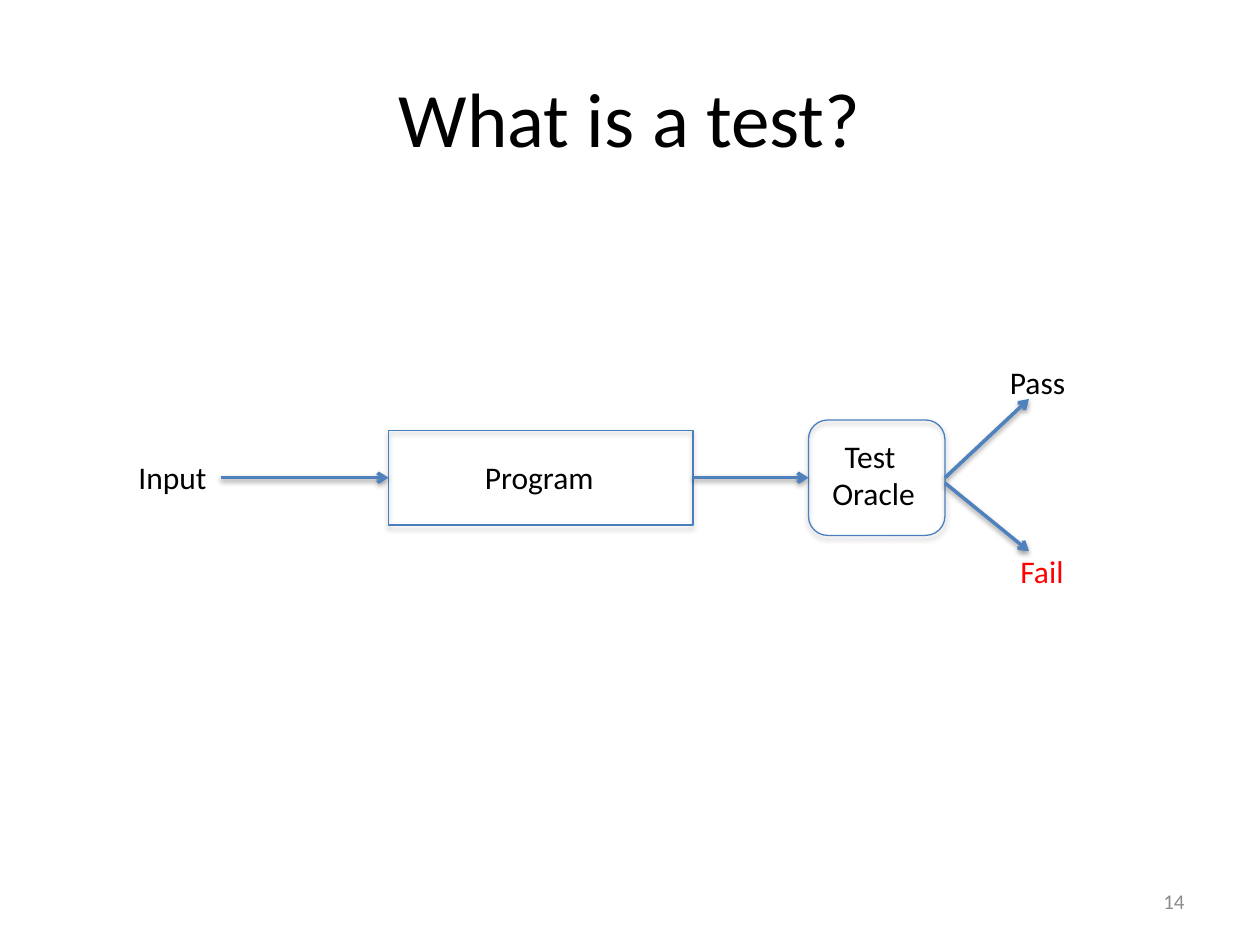
"""Build the slide that shows how a program and a test oracle form a test."""
from typing import NamedTuple

import lxml.etree
import pptx
import pptx.dml.color
import pptx.enum.shapes
import pptx.enum.text
import pptx.oxml.ns
import pptx.util

SHAPES = pptx.enum.shapes.MSO_SHAPE
ALIGN = pptx.enum.text.PP_ALIGN
ANCHOR = pptx.enum.text.MSO_ANCHOR
AUTO_SIZE = pptx.enum.text.MSO_AUTO_SIZE

COLUMNS, ROWS = 120, 90
SLIDE_WIDTH, SLIDE_HEIGHT = pptx.util.Inches(10), pptx.util.Inches(7.5)
FLOW_ROW = 45.5
LABEL_HEIGHT = 4.8


class Area(NamedTuple):
    """A rectangle in grid columns and rows."""
    column: float
    row: float
    width: float
    height: float


class Label(NamedTuple):
    """Text lines and their format."""
    lines: tuple
    area: Area
    color: str = "000000"
    size: int = 18
    alignment: ALIGN = ALIGN.LEFT
    anchor: ANCHOR = ANCHOR.TOP
    wrap: bool = False


class Box(NamedTuple):
    """An outlined step of the test."""
    kind: SHAPES
    area: Area


class Arrow(NamedTuple):
    """An arrow between two grid points."""
    start: tuple
    end: tuple


LABELS = (
    Label(("14",), Area(86, 83.4, 28, LABEL_HEIGHT), "8C8C8C", 12, ALIGN.RIGHT, ANCHOR.MIDDLE, True),
    Label(("What is a test?",), Area(6, 3.6, 108, 15), "000000", 44, ALIGN.CENTER, ANCHOR.MIDDLE, True),
    Label(("Input",), Area(12, 43, 9, LABEL_HEIGHT)),
    Label(("Program",), Area(45, 43, 13, LABEL_HEIGHT)),
    Label(("Test ", "Oracle"), Area(78, 41, 10.4, 8.5), alignment=ALIGN.CENTER),
    Label(("Pass",), Area(95, 34, 7.8, LABEL_HEIGHT)),
    Label(("Fail",), Area(96, 52, 6.6, LABEL_HEIGHT), "FF0000"),
)
BOXES = (
    Box(SHAPES.RECTANGLE, Area(37, 41, 29, 9)),
    Box(SHAPES.ROUNDED_RECTANGLE, Area(77, 40, 13, 11)),
)
ARROWS = (
    Arrow((21, FLOW_ROW), (37, FLOW_ROW)),
    Arrow((66, FLOW_ROW), (77, FLOW_ROW)),
    Arrow((90, FLOW_ROW), (98, 38)),
    Arrow((90, 46), (98, 52.5)),
)


def across(columns: float) -> int:
    """Convert grid columns to a slide length."""
    return round(SLIDE_WIDTH * columns / COLUMNS)


def down(rows: float) -> int:
    """Convert grid rows to a slide length."""
    return round(SLIDE_HEIGHT * rows / ROWS)


def place(area: Area) -> tuple:
    """Return left, top, width and height on the slide."""
    return across(area.column), down(area.row), across(area.width), down(area.height)


def rgb(color: str) -> pptx.dml.color.RGBColor:
    """Turn a hex string into a colour."""
    return pptx.dml.color.RGBColor.from_string(color)


def apply(target: object, values: dict) -> None:
    """Set each named attribute on the target."""
    for name, value in values.items():
        setattr(target, name, value)


def add_child(parent, tag: str, **attributes: str):
    """Append a drawing element with attributes."""
    return lxml.etree.SubElement(parent, pptx.oxml.ns.qn(tag), attributes)


def style_line(shape, color: str, width: float, distance: float, opacity: int) -> None:
    """Outline a shape and drop a soft shadow below it."""
    shape.line.color.rgb = rgb(color)
    shape.line.width = pptx.util.Pt(width)
    properties = shape._element.spPr
    for effects in properties.findall(pptx.oxml.ns.qn("a:effectLst")):
        properties.remove(effects)
    shadow = add_child(
        add_child(properties, "a:effectLst"), "a:outerShdw",
        blurRad=str(pptx.util.Pt(3.1)), dist=str(pptx.util.Pt(distance)),
        dir="5400000", rotWithShape="0")
    shadow_color = add_child(shadow, "a:srgbClr", val="000000")
    add_child(shadow_color, "a:alpha", val=str(opacity * 1000))


def draw_label(slide, label: Label) -> None:
    """Draw a text box with one paragraph per line."""
    frame = slide.shapes.add_textbox(*place(label.area)).text_frame
    apply(frame, {
        "text": "\n".join(label.lines),
        "word_wrap": label.wrap,
        "vertical_anchor": label.anchor,
        "auto_size": AUTO_SIZE.NONE if label.wrap else AUTO_SIZE.SHAPE_TO_FIT_TEXT,
    })
    for paragraph in frame.paragraphs:
        paragraph.alignment = label.alignment
        for run in paragraph.runs:
            apply(run.font, {"name": "Calibri", "size": pptx.util.Pt(label.size)})
            run.font.color.rgb = rgb(label.color)


def draw_box(slide, box: Box) -> None:
    """Draw an unfilled box with a thin outline."""
    shape = slide.shapes.add_shape(box.kind, *place(box.area))
    shape.fill.background()
    style_line(shape, "4B7EBC", 0.75, 1.8, 35)


def draw_arrow(slide, arrow: Arrow) -> None:
    """Draw a straight arrow with an open head."""
    connector = slide.shapes.add_connector(
        pptx.enum.shapes.MSO_CONNECTOR.STRAIGHT,
        across(arrow.start[0]), down(arrow.start[1]),
        across(arrow.end[0]), down(arrow.end[1]))
    style_line(connector, "4F81BD", 2, 1.6, 38)
    add_child(connector.line._get_or_add_ln(), "a:tailEnd", type="arrow")


def main() -> None:
    """Build and save the presentation."""
    presentation = pptx.Presentation()
    apply(presentation, {"slide_width": SLIDE_WIDTH, "slide_height": SLIDE_HEIGHT})
    slide = presentation.slides.add_slide(presentation.slide_layouts[6])
    for draw, items in ((draw_box, BOXES), (draw_arrow, ARROWS), (draw_label, LABELS)):
        for item in items:
            draw(slide, item)
    presentation.save("out.pptx")


if __name__ == "__main__":
    main()
